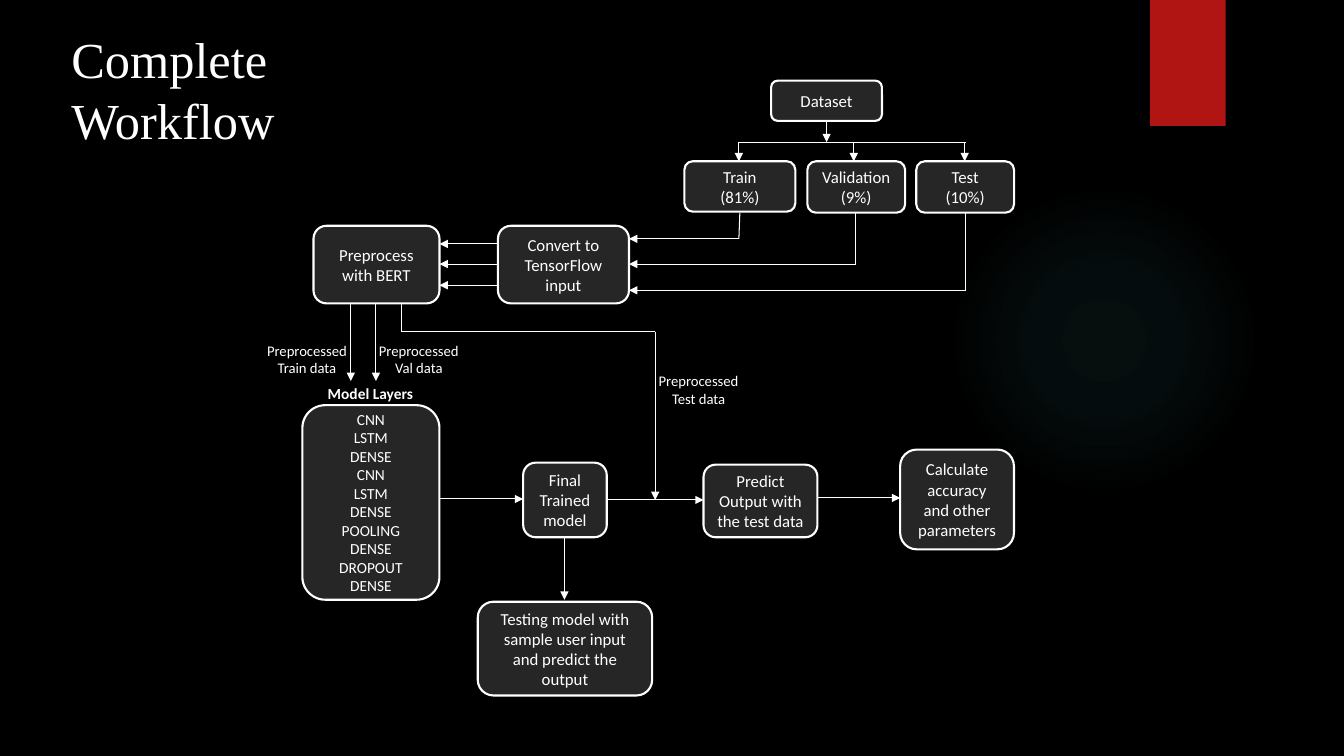
"""Build the Complete Workflow slide, measured on a grid of 133.33 columns by 75 rows."""
import pptx
import pptx.dml.color
import pptx.enum.shapes
import pptx.enum.text
import pptx.oxml
import pptx.oxml.ns
import pptx.util

CELL = pptx.util.Inches(0.1)
WHITE, PANEL, RED, GLOW = "FFFFFF", "262626", "B01513", "50B9C1"
SHAPES = pptx.enum.shapes.MSO_SHAPE
ALIGN = pptx.enum.text.PP_ALIGN
ANCHOR = pptx.enum.text.MSO_ANCHOR
MAIN = pptx.oxml.ns.nsdecls("a")


def paint(target, colour):
    if hasattr(target, "solid"):
        target.solid()
        target.fore_color.rgb = pptx.dml.color.RGBColor.from_string(colour)
    else:
        target.rgb = pptx.dml.color.RGBColor.from_string(colour)


def write(box, text, size=12, font="Calibri", bold=False,
          align=ALIGN.CENTER, anchor=ANCHOR.MIDDLE):
    frame = box.text_frame
    frame.word_wrap = True
    frame.vertical_anchor = anchor
    frame.text = text
    for para in frame.paragraphs:
        para.alignment = align
        for span in para.runs:
            span.font.size = pptx.util.Pt(size)
            span.font.name = font
            span.font.bold = bold
            paint(span.font.color, WHITE)


deck = pptx.Presentation()
deck.slide_width, deck.slide_height = int(133.33 * CELL), 75 * CELL
page = deck.slides.add_slide(deck.slide_layouts[6])
paint(page.background.fill, "000000")

glow = page.shapes.add_shape(
    SHAPES.OVAL, *[int(n * CELL) for n in (94.1, 18.3, 30.8, 30.8)])
glow.shadow.inherit = False
glow.line.fill.background()
glow.fill.background()
stops = "".join(
    f'<a:gs pos="{place * 1000}"><a:srgbClr val="{GLOW}">'
    f'<a:alpha val="{alpha * 1000}"/></a:srgbClr></a:gs>'
    for place, alpha in ((0, 7), (36, 6), (69, 0)))
gradient = pptx.oxml.parse_xml(
    f'<a:gradFill {MAIN}><a:gsLst>{stops}</a:gsLst><a:path path="circle">'
    '<a:fillToRect l="50000" t="50000" r="50000" b="50000"/></a:path></a:gradFill>')
properties = glow.element.spPr
properties.replace(properties.find(pptx.oxml.ns.qn("a:noFill")), gradient)

ribbon = page.shapes.add_shape(
    SHAPES.RECTANGLE, *[int(n * CELL) for n in (114.1, 0, 7.5, 12.5)])
ribbon.shadow.inherit = False
ribbon.line.fill.background()
paint(ribbon.fill, RED)

layers = "CNN\nLSTM\nDENSE\nCNN\nLSTM\nDENSE\nPOOLING\nDENSE\nDROPOUT\nDENSE"
steps = [
    ("Dataset", 76.5, 8, 11, 4, 12),
    ("Train\n(81%)", 67.9, 16, 11, 5, 12),
    ("Validation\n(9%)", 80.1, 16, 9.7, 5.1, 12),
    ("Test\n(10%)", 90.9, 16, 9.7, 5.1, 12),
    ("Preprocess with BERT", 31.1, 22.4, 12.5, 7.7, 12),
    ("Convert to TensorFlow\ninput", 49.4, 22.4, 13, 7.7, 12),
    (layers, 30, 40.2, 13.6, 19.3, 11),
    ("Final Trained model", 51.9, 45.9, 8.3, 7.4, 12),
    ("Testing model with sample user input and predict the output",
     47.4, 59.7, 17.3, 9.3, 12),
    ("Predict Output with the test data", 69.8, 46.1, 11.3, 7.2, 12),
    ("Calculate accuracy and other parameters", 89.3, 44.6, 11.3, 9.9, 12),
]
step_boxes = {}
for text, left, top, width, height, size in steps:
    box = page.shapes.add_shape(
        SHAPES.FLOWCHART_ALTERNATE_PROCESS,
        *[int(n * CELL) for n in (left, top, width, height)])
    box.shadow.inherit = False
    paint(box.fill, PANEL)
    paint(box.line.fill, WHITE)
    box.line.width = pptx.util.Pt(1.5)
    write(box, text, size=size)
    step_boxes[text] = box

share = step_boxes["Validation\n(9%)"].text_frame.paragraphs[1]
share_format = share._p.get_or_add_pPr()
share_format.set("marL", "0")
share_format.set("indent", str(int(-1.8 * CELL)))

plain_lines = [
    (95.8, 14.1, 73.3, 14.1),
    (39.8, 30.1, 39.8, 32.9),
    (39.8, 32.9, 65, 32.9),
    (73.4, 21.1, 73.3, 23.7),
    (84.9, 21.1, 84.9, 26.2),
    (95.8, 21.1, 95.8, 28.8),
]
arrows = [
    (82, 11.9, 82, 14.1),
    (65, 32.9, 65, 49.6),
    (43.6, 49.5, 51.9, 49.5),
    (60.2, 49.6, 69.8, 49.6),
    (81.2, 49.4, 89.3, 49.4),
    (56, 53.3, 56, 59.5),
]
arrows += [(column, 14.1, column, 16) for column in (73.3, 84.7, 95.7)]
arrows += [(column, 30.1, column, 37.8) for column in (34.8, 37.3)]
arrows += [(column, row, 62.4, row)
           for column, row in ((73.3, 23.7), (84.9, 26.2), (95.8, 28.8))]
arrows += [(49.4, row, 43.6, row) for row in (24.2, 26.2, 28.3)]
for ends in plain_lines + arrows:
    link = page.shapes.add_connector(
        pptx.enum.shapes.MSO_CONNECTOR.STRAIGHT, *[int(n * CELL) for n in ends])
    paint(link.line.fill, WHITE)
    link.line.width = pptx.util.Pt(0.75)
    if ends in arrows:
        link.line._get_or_add_ln().append(
            pptx.oxml.parse_xml(f'<a:tailEnd {MAIN} type="triangle"/>'))
    link._element.spPr.append(pptx.oxml.parse_xml(f"<a:effectLst {MAIN}/>"))

labels = [
    ("Preprocessed\nTrain data", 25.4, 33.4, 10.1, 4.5, {"size": 10.5}),
    ("Preprocessed\nVal data", 35.3, 33.4, 12.5, 4.5, {"size": 10.5}),
    ("Preprocessed\nTest data", 62.7, 36.4, 13.2, 4.7, {"size": 10.5}),
    ("Model Layers", 31.2, 37.6, 11.1, 2.9, {"size": 11, "bold": True}),
    ("Complete Workflow", 6.1, 2.3, 40.1, 16.2,
     {"size": 36, "font": "Times New Roman", "align": ALIGN.LEFT}),
]
for text, left, top, width, height, style in labels:
    label = page.shapes.add_textbox(
        *[int(n * CELL) for n in (left, top, width, height)])
    write(label, text, anchor=ANCHOR.TOP, **style)

deck.save("out.pptx")
